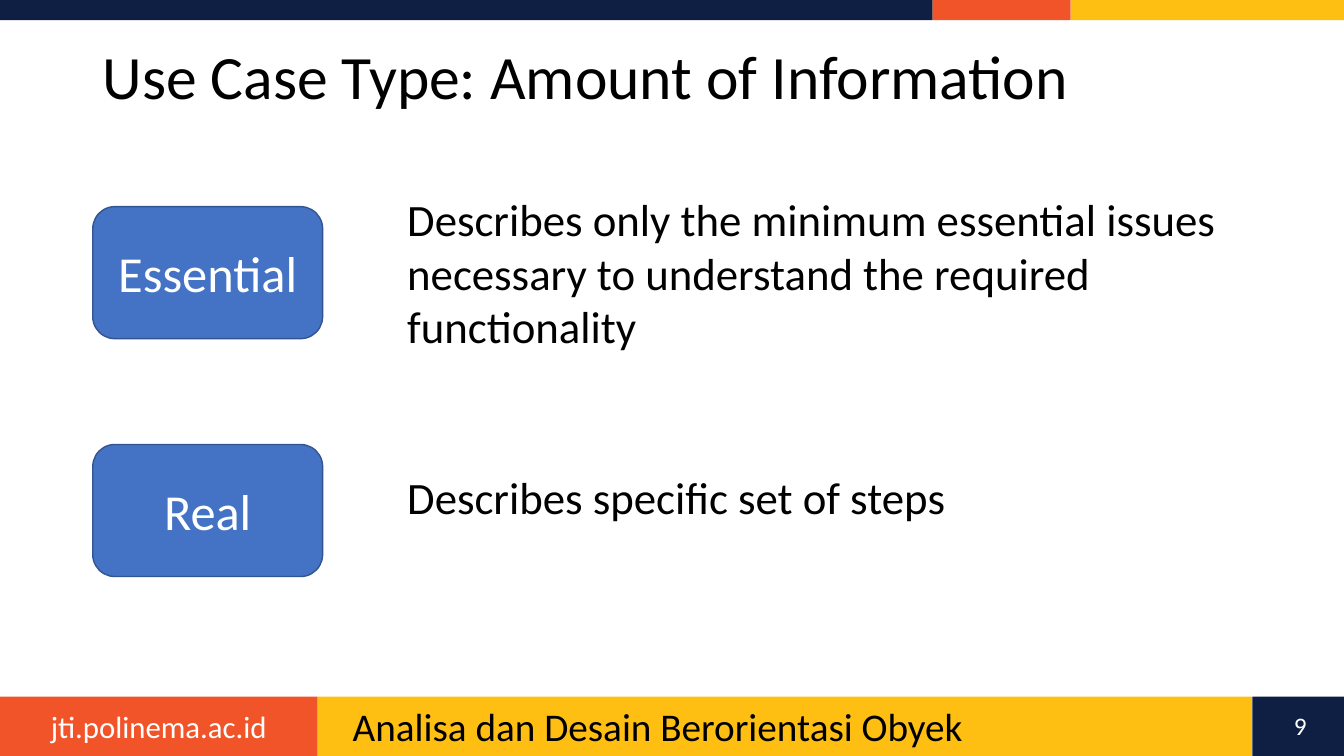
"""Builds the use case type slide."""
from pptx import Presentation
from pptx.dml.color import RGBColor
from pptx.enum.shapes import MSO_SHAPE
from pptx.enum.text import MSO_ANCHOR, PP_ALIGN
from pptx.util import Inches, Pt

RECT, ROUNDED = MSO_SHAPE.RECTANGLE, MSO_SHAPE.ROUNDED_RECTANGLE
LEFT, CENTER = PP_ALIGN.LEFT, PP_ALIGN.CENTER
TOP, MIDDLE = MSO_ANCHOR.TOP, MSO_ANCHOR.MIDDLE
NAVY = RGBColor(0x0E, 0x1F, 0x43)
ORANGE = RGBColor(0xF1, 0x54, 0x29)
YELLOW = RGBColor(0xFE, 0xBF, 0x12)
BLUE = RGBColor(0x44, 0x72, 0xC4)
DARK_BLUE = RGBColor(0x32, 0x54, 0x91)
BLACK = RGBColor(0, 0, 0)
WHITE = RGBColor(0xFF, 0xFF, 0xFF)
FONT = "Calibri"
WIDTH, HEIGHT = 13.33, 7.5
TOP_BAND = [(0, NAVY), (9.25, ORANGE), (10.62, YELLOW)]
BOTTOM_BAND = [(0, ORANGE), (3.15, YELLOW), (12.42, NAVY)]
USE_CASE_TYPES = [
    ("Essential", 2.05, 1.85, 1.72,
     "Describes only the minimum essential issues necessary to understand "
     "the required functionality"),
    ("Real", 4.41, 4.61, 0.64, "Describes specific set of steps"),
]


def write(shape, text, size, color, align=LEFT, anchor=TOP, spacing=1.0):
    """Put one formatted run into a shape."""
    tf = shape.text_frame
    tf.word_wrap = True
    tf.vertical_anchor = anchor
    p = tf.paragraphs[0]
    p.alignment = align
    p.line_spacing = spacing
    r = p.add_run()
    r.text = text
    r.font.name = FONT
    r.font.size = Pt(size)
    r.font.color.rgb = color


def add_label(s, box, text, size, color, **style):
    """Add a text box."""
    sp = s.shapes.add_textbox(*map(Inches, box))
    write(sp, text, size, color, **style)


def add_block(s, kind, box, fill, line=None):
    """Add a filled shape, outlined when a line colour is given."""
    sp = s.shapes.add_shape(kind, *map(Inches, box))
    sp.shadow.inherit = False
    sp.fill.solid()
    sp.fill.fore_color.rgb = fill
    if line is None:
        sp.line.fill.background()
    else:
        sp.line.color.rgb = line
        sp.line.width = Pt(1)
    return sp


def add_band(s, top, height, segments):
    """Add a full-width band whose segments run up to the next start."""
    ends = [start for start, _ in segments[1:]] + [WIDTH]
    for (start, color), end in zip(segments, ends):
        add_block(s, RECT, (start, top, end - start, height), color)


def add_title(s, text):
    """Place and fill the title placeholder."""
    title = s.shapes.title
    title.left, title.top = Inches(0.92), Inches(0.4)
    title.width, title.height = Inches(10.24), Inches(0.78)
    write(title, text, 44, BLACK, anchor=MIDDLE, spacing=0.9)


def add_use_case_type(s, name, box_top, text_top, text_height, text):
    """Add a named box and its description."""
    sp = add_block(s, ROUNDED, (0.92, box_top, 2.28, 1.31), BLUE, DARK_BLUE)
    write(sp, name, 36, WHITE, align=CENTER, anchor=MIDDLE)
    add_label(s, (3.94, text_top, 8.65, text_height), text, 32, BLACK)


def main():
    """Build and save the slide."""
    prs = Presentation()
    prs.slide_width, prs.slide_height = Inches(WIDTH), Inches(HEIGHT)
    s = prs.slides.add_slide(prs.slide_layouts[5])
    add_band(s, 0, 0.2, TOP_BAND)
    add_band(s, 6.91, 0.59, BOTTOM_BAND)
    add_label(s, (0, 6.97, 3.15, 0.47), "jti.polinema.ac.id", 22, WHITE,
              align=CENTER)
    add_label(s, (3.4, 6.97, 8.74, 0.4),
              "Analisa dan Desain Berorientasi Obyek", 28, BLACK, spacing=0.9)
    add_title(s, "Use Case Type: Amount of Information")
    add_label(s, (12.59, 7, 0.61, 0.4), "9", 18, WHITE, align=CENTER)
    for use_case_type in USE_CASE_TYPES:
        add_use_case_type(s, *use_case_type)
    prs.save("out.pptx")


if __name__ == "__main__":
    main()
